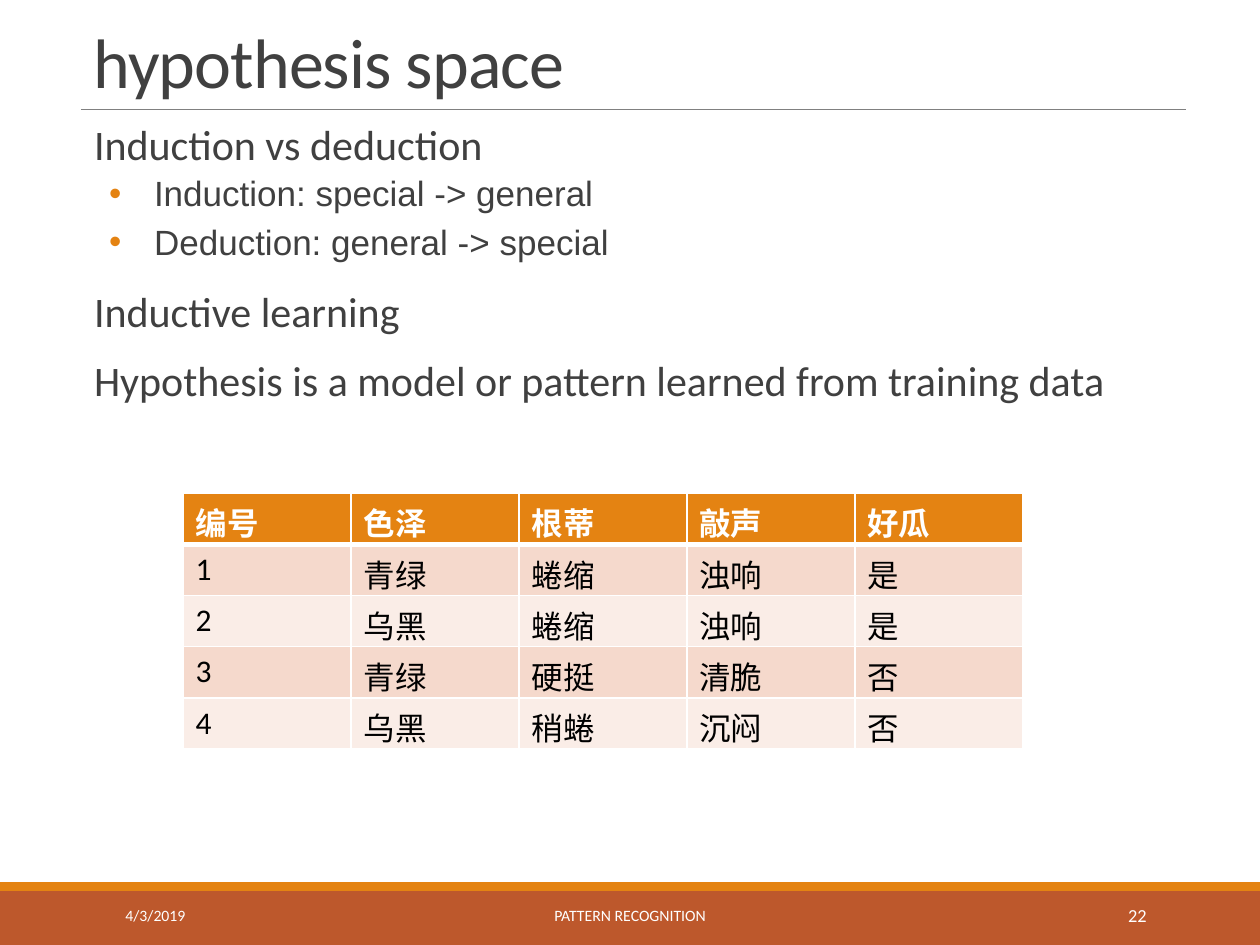
import lxml.etree
import pptx
import pptx.dml.color
import pptx.enum.shapes
import pptx.enum.text
import pptx.oxml.ns
import pptx.util

SCALE = 914400 / 126  # EMU per px
COLORS = {
    "rust": "BD582C",
    "orange": "E48312",
    "rule": "808080",
    "text": "404040",
    "white": "FFFFFF",
    "black": "000000",
    "band_dark": "F5D9CC",
    "band_light": "FAEDE7",
}
ALIGN = pptx.enum.text.PP_ALIGN
ANCHOR = pptx.enum.text.MSO_ANCHOR

OUTLINE = [
    (0, "Induction vs deduction"),
    (1, "Induction: special -> general"),
    (1, "Deduction: general -> special"),
    (0, "Inductive learning"),
    (0, "Hypothesis is a model or pattern learned from training data"),
]
MELONS = [
    ["编号", "色泽", "根蒂", "敲声", "好瓜"],
    ["1", "青绿", "蜷缩", "浊响", "是"],
    ["2", "乌黑", "蜷缩", "浊响", "是"],
    ["3", "青绿", "硬挺", "清脆", "否"],
    ["4", "乌黑", "稍蜷", "沉闷", "否"],
]


def px(length):
    return pptx.util.Emu(round(length * SCALE))


def color(name):
    return pptx.dml.color.RGBColor.from_string(COLORS[name])


def child(parent, tag, **attributes):
    return lxml.etree.SubElement(parent, pptx.oxml.ns.qn(tag), attributes)


def add_span(para, text, size, color_name, font="Calibri", bold=False):
    span = para.add_run()
    span.text = text
    span.font.name = font
    span.font.size = pptx.util.Pt(size)
    span.font.bold = bold
    span.font.color.rgb = color(color_name)
    return span


def add_text_box(page, left, top, width, height, anchor):
    box = page.shapes.add_textbox(px(left), px(top), px(width), px(height))
    box.text_frame.word_wrap = True
    box.text_frame.vertical_anchor = anchor
    return box.text_frame


def add_bar(page, left, top, width, height, color_name):
    bar = page.shapes.add_shape(
        pptx.enum.shapes.MSO_SHAPE.RECTANGLE, px(left), px(top), px(width), px(height))
    bar.shadow.inherit = False
    bar.fill.solid()
    bar.fill.fore_color.rgb = color(color_name)
    bar.line.fill.background()


def add_footer(page, left, top, width, height):
    # Rust band with a thin orange strip on top
    strip = 9
    add_bar(page, left, top + strip - 1, width, height - strip + 1, "rust")
    add_bar(page, left, top, width, strip, "orange")
    # Date, course name and page number
    for offset, span_width, text, size, align in [
        (113, 256, "4/3/2019", 9, ALIGN.LEFT),
        (380, 500, "PATTERN RECOGNITION", 9, ALIGN.CENTER),
        (1023, 136, "22", 10.5, ALIGN.RIGHT),
    ]:
        frame = add_text_box(page, left + offset, top + 8, span_width, 50, ANCHOR.MIDDLE)
        para = frame.paragraphs[0]
        para.alignment = align
        add_span(para, text, size, "white")


def add_heading(page, left, top, width, height):
    title = page.shapes.title
    title.left, title.top, title.width, title.height = map(px, (left, top, width, height))
    frame = title.text_frame
    frame.auto_size = pptx.enum.text.MSO_AUTO_SIZE.NONE
    frame.vertical_anchor = ANCHOR.BOTTOM
    para = frame.paragraphs[0]
    para.alignment = ALIGN.LEFT
    para.line_spacing = 0.85
    span = add_span(para, "hypothesis space", 40, "text")
    span.font._element.set("spc", "-50")
    # Rule under the title
    rule = page.shapes.add_connector(
        pptx.enum.shapes.MSO_CONNECTOR.STRAIGHT,
        px(left), px(top + height), px(left + width), px(top + height))
    rule.line.color.rgb = color("rule")
    rule.line.width = pptx.util.Pt(0.5)
    child(rule._element.spPr, "a:effectLst")


def add_bullet(para):
    properties = para._p.get_or_add_pPr()
    properties.set("marL", str(px(73)))
    properties.set("indent", str(-px(45)))
    child(child(properties, "a:buClr"), "a:srgbClr", val=COLORS["orange"])
    child(properties, "a:buFont", typeface="Arial")
    child(properties, "a:buChar", char="•")


def add_outline(page, left, top, width, height):
    frame = add_text_box(page, left, top, width, height, ANCHOR.TOP)
    frame.margin_left = frame.margin_right = 0
    for index, (level, text) in enumerate(OUTLINE):
        para = frame.add_paragraph() if index else frame.paragraphs[0]
        if level:
            para.level = level
            add_bullet(para)
            before, after, size, font = 2, 4, 20, "Arial"
        else:
            para._p.get_or_add_pPr().set("marL", str(px(13)))
            before, after, size, font = 12, 2, 24, "Calibri"
        para.line_spacing = 0.9
        para.space_before = pptx.util.Pt(before if index else 0)
        para.space_after = pptx.util.Pt(after)
        add_span(para, text, size, "text", font)


def add_borders(cell, top, bottom):
    properties = cell._tc.get_or_add_tcPr()
    for side, points in (("L", 1), ("R", 1), ("T", top), ("B", bottom)):
        line = child(properties, f"a:ln{side}", w=str(pptx.util.Pt(points)))
        child(child(line, "a:solidFill"), "a:srgbClr", val=COLORS["white"])


def add_melon_table(page, left, top, width, height):
    rows, columns = len(MELONS), len(MELONS[0])
    table = page.shapes.add_table(
        rows, columns, px(left), px(top), px(width), px(height)).table
    for column in table.columns:
        column.width = px(width / columns)
    for row_index, row in enumerate(MELONS):
        table.rows[row_index].height = px(height / rows)
        header = row_index == 0
        band = "orange" if header else "band_dark" if row_index % 2 else "band_light"
        for column_index, text in enumerate(row):
            cell = table.cell(row_index, column_index)
            add_borders(cell, 3 if row_index == 1 else 1, 3 if header else 1)
            cell.fill.solid()
            cell.fill.fore_color.rgb = color(band)
            add_span(cell.text_frame.paragraphs[0], text, 18,
                     "white" if header else "black", bold=header)


def main():
    deck = pptx.Presentation()
    deck.slide_width, deck.slide_height = px(1260), px(945)
    page = deck.slides.add_slide(deck.slide_layouts[5])
    add_footer(page, 0, 882, 1260, 63)
    add_heading(page, 81, 16, 1105, 93)
    add_outline(page, 81, 118, 1105, 750)
    add_melon_table(page, 183, 493, 840, 256)
    deck.save("out.pptx")


if __name__ == "__main__":
    main()
